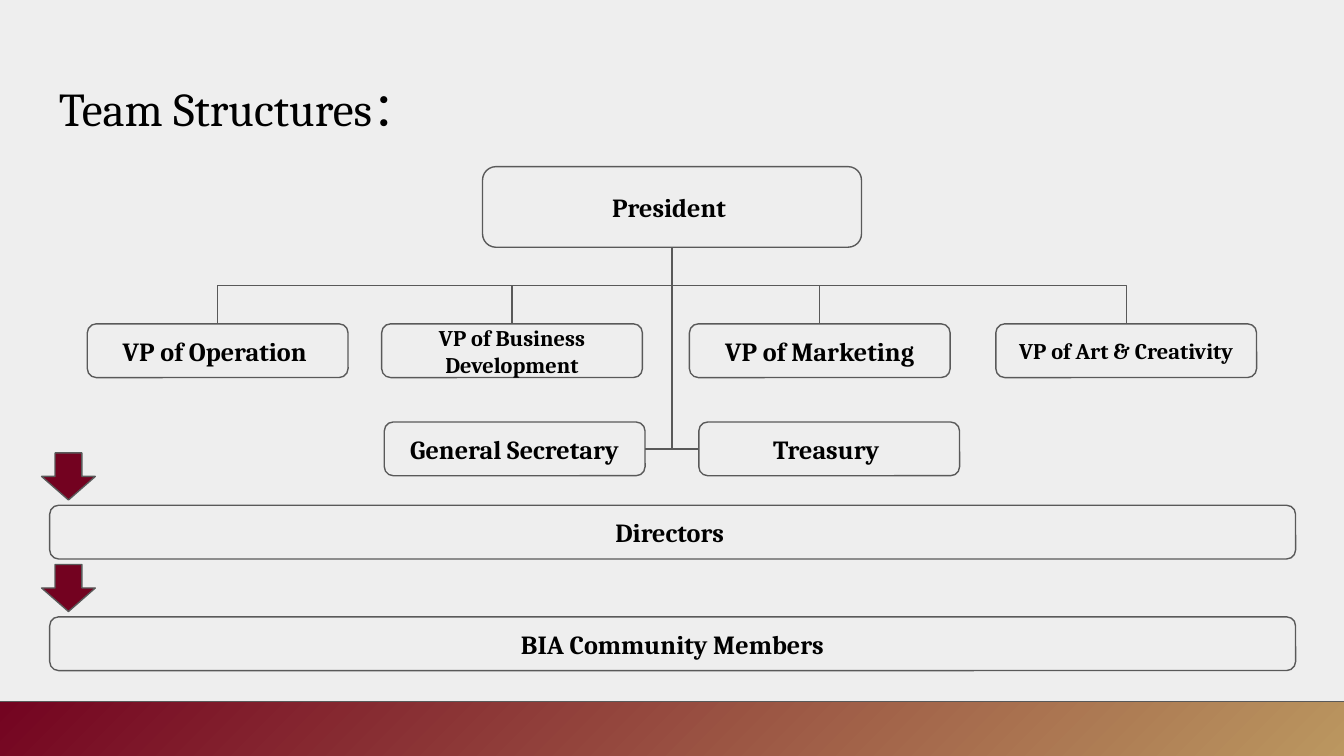
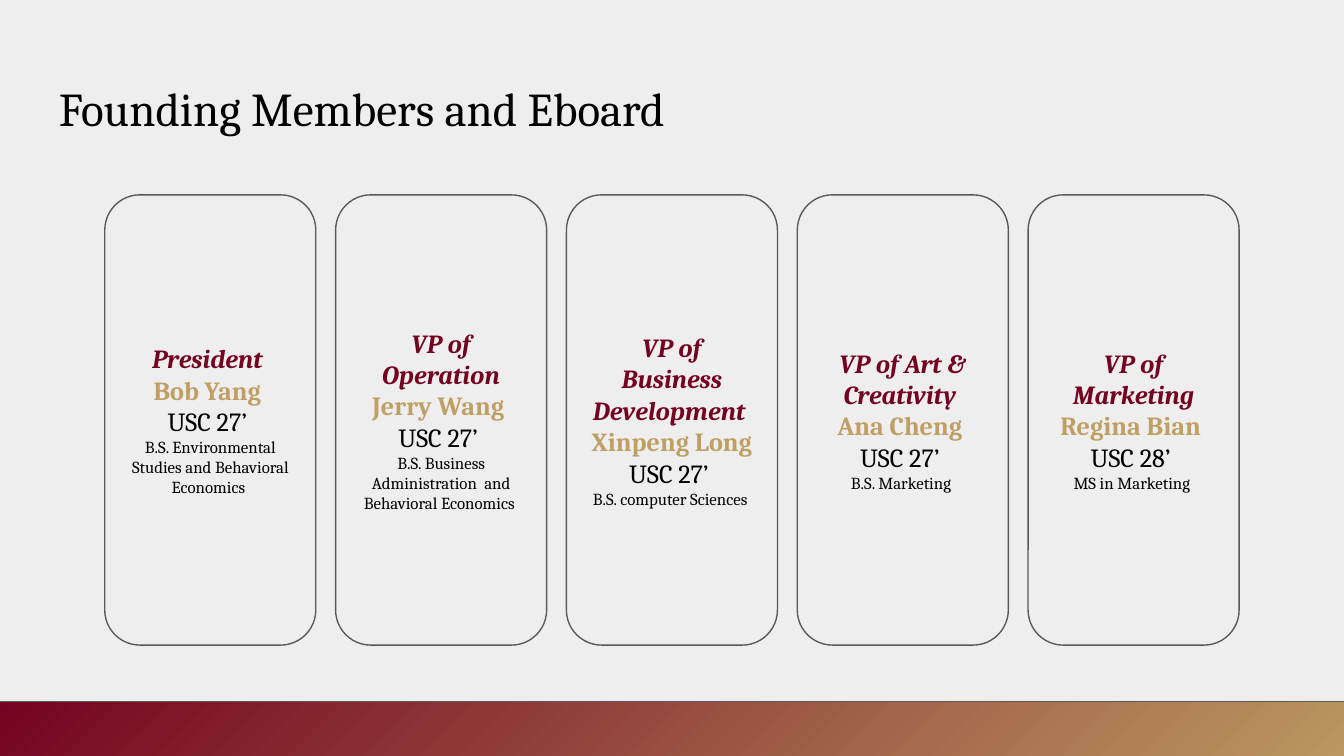
from dataclasses import dataclass

from lxml import etree
from pptx import Presentation
from pptx import util as u
from pptx.dml.color import RGBColor
from pptx.enum import shapes, text
from pptx.oxml.ns import qn

COLORS = {
    "paper": "EEEEEE",
    "ink": "000000",
    "outline": "595959",
    "cardinal": "730220",
    "gold": "BF9F63",
}
FONT = "Cambria"
SLIDE_WIDTH = 10
SLIDE_HEIGHT = SLIDE_WIDTH * 9 / 16
BOX_HEIGHT = 0.4
LINE_WIDTH = u.Pt(0.75)
ROUNDED = shapes.MSO_SHAPE.ROUNDED_RECTANGLE
TOP, LEFT, BOTTOM, RIGHT = range(4)  # connection sites of a rectangle


@dataclass(frozen=True)
class Line:
    """One paragraph and its look."""
    words: str
    size: float = 14
    color: str = "ink"
    bold: bool = False
    italic: bool = False


@dataclass(frozen=True)
class Role:
    """One box of the organisation chart."""
    name: str
    left: float
    top: float
    width: float = 1.94
    height: float = BOX_HEIGHT
    size: float = 14


@dataclass(frozen=True)
class Member:
    """One card of the executive board."""
    role: str
    name: str
    year: str
    degree: str

    def lines(self) -> list[Line]:
        return [
            Line(self.role, color="cardinal", bold=True, italic=True),
            Line(self.name, color="gold", bold=True),
            Line(self.year),
            Line(self.degree, size=9),
        ]


# Organisation chart
PRESIDENT = Role("President ", 3.59, 1.24, 2.82, 0.6)
VP_TOP, STAFF_TOP = 2.41, 3.14
VICE_PRESIDENTS = [
    Role("VP of Operation ", 0.65, VP_TOP),
    Role("VP of Business Development", 2.84, VP_TOP, size=12),
    Role("VP of Marketing", 5.13, VP_TOP),
    Role("VP of Art & Creativity", 7.41, VP_TOP, size=12),
]
SECRETARY = Role("General Secretary", 2.86, STAFF_TOP)
TREASURY = Role("Treasury ", 5.2, STAFF_TOP)
LEVELS = [
    Role("Directors ", 0.37, 3.76, 9.27),
    Role("BIA Community Members", 0.37, 4.59, 9.27),
]
ARROW_RISE = 0.39  # from the top of an arrow to the level below it

# Executive board
MEMBERS = [
    Member("President ", "Bob Yang ", "USC 27’ ",
           "B.S. Environmental Studies and Behavioral Economics "),
    Member("VP of Operation", "Jerry Wang ", "USC 27’ ",
           "B.S. Business Administration  and Behavioral Economics "),
    Member("VP of Business Development ", "Xinpeng Long ", "USC 27’ ",
           "B.S. computer Sciences "),
    Member("VP of Art & Creativity ", "Ana Cheng ", "USC 27’ ", "B.S. Marketing "),
    Member("VP of Marketing", "Regina Bian ", "USC 28’ ", "MS in Marketing "),
]
FIRST_CARD, LAST_CARD = 0.78, 7.65
CARD_PITCH = (LAST_CARD - FIRST_CARD) / (len(MEMBERS) - 1)


def rgb(name: str) -> RGBColor:
    return RGBColor.from_string(COLORS[name])


def apply_format(target, values: dict) -> None:
    for attribute, value in values.items():
        setattr(target, attribute, value)


def draw_outline(line) -> None:
    line.color.rgb = rgb("outline")
    line.width = LINE_WIDTH


def write(shape, lines: list[Line], align, anchor) -> None:
    frame = shape.text_frame
    inset = u.Inches(0.1)
    apply_format(frame, {
        "word_wrap": True, "vertical_anchor": anchor,
        "margin_left": inset, "margin_right": inset,
        "margin_top": inset, "margin_bottom": inset,
    })
    for index, line in enumerate(lines):
        paragraph = frame.add_paragraph() if index else frame.paragraphs[0]
        paragraph.alignment = align
        run = paragraph.add_run()
        run.text = line.words
        apply_format(run.font, {"name": FONT, "size": u.Pt(line.size),
                                "bold": line.bold, "italic": line.italic})
        run.font.color.rgb = rgb(line.color)


def add_block(slide, preset, left: float, top: float, width: float,
              height: float, fill: str = "paper"):
    block = slide.shapes.add_shape(preset, u.Inches(left), u.Inches(top),
                                   u.Inches(width), u.Inches(height))
    block.shadow.inherit = False
    block.fill.solid()
    block.fill.fore_color.rgb = rgb(fill)
    draw_outline(block.line)
    return block


def add_box(slide, left: float, top: float, width: float, height: float,
            lines: list[Line]):
    box = add_block(slide, ROUNDED, left, top, width, height)
    write(box, lines, text.PP_ALIGN.CENTER, text.MSO_ANCHOR.MIDDLE)
    return box


def add_role(slide, role: Role):
    return add_box(slide, role.left, role.top, role.width, role.height,
                   [Line(role.name, role.size, bold=True)])


def add_branch(slide, parent, child, site: int) -> None:
    """Elbow that leaves the bottom of parent downwards and ends at a site of child."""
    branch = slide.shapes.add_connector(shapes.MSO_CONNECTOR.ELBOW, 0, 0, 0, 0)
    branch.begin_connect(parent, BOTTOM)
    branch.end_connect(child, site)
    draw_outline(branch.line)

    # A downward start is a sideways elbow turned about its centre
    start_x, start_y = branch.begin_x, branch.begin_y
    end_x, end_y = branch.end_x, branch.end_y
    across, down = abs(end_x - start_x), end_y - start_y
    apply_format(branch, {
        "left": (start_x + end_x - down) // 2,
        "top": (start_y + end_y - across) // 2,
        "width": down, "height": across,
    })
    to_right = end_x > start_x
    properties = branch._element.spPr
    frame = properties.find(qn("a:xfrm"))
    frame.set("rot", str((270 if to_right else 90) * 60000))
    frame.set("flipH", "1" if to_right else "0")
    frame.set("flipV", "0")
    if site != TOP:
        properties.find(qn("a:prstGeom")).set("prst", "bentConnector2")
    etree.SubElement(properties, qn("a:effectLst"))


def add_slide(deck, title: str):
    slide = deck.slides.add_slide(deck.slide_layouts[6])
    slide.background.fill.solid()
    slide.background.fill.fore_color.rgb = rgb("paper")

    # Footer band
    band = add_block(slide, shapes.MSO_SHAPE.RECTANGLE, -0.13, 5.22, 10.25, 0.86)
    band.fill.gradient()
    band.fill.gradient_angle = 315
    for stop, (position, color) in zip(band.fill.gradient_stops,
                                       [(0, "cardinal"), (1, "gold")]):
        stop.position = position
        stop.color.rgb = rgb(color)

    # Title
    heading = slide.shapes.add_textbox(u.Inches(0.34), u.Inches(0.49),
                                       u.Inches(9.32), u.Inches(0.63))
    write(heading, [Line(title, 25.2)], text.PP_ALIGN.LEFT, text.MSO_ANCHOR.TOP)
    return slide


def build_structure(deck) -> None:
    slide = add_slide(deck, "Team Structures：")
    president = add_role(slide, PRESIDENT)
    vice_presidents = [add_role(slide, role) for role in VICE_PRESIDENTS]
    secretary = add_role(slide, SECRETARY)
    treasury = add_role(slide, TREASURY)
    for level in LEVELS:
        add_role(slide, level)

    # Reporting lines
    for vice_president in vice_presidents:
        add_branch(slide, president, vice_president, TOP)
    add_branch(slide, president, secretary, RIGHT)
    add_branch(slide, president, treasury, LEFT)

    # Arrows down to each level
    for level in LEVELS:
        add_block(slide, shapes.MSO_SHAPE.DOWN_ARROW, 0.31,
                  level.top - ARROW_RISE, 0.4, 0.35, "cardinal")


def build_board(deck) -> None:
    slide = add_slide(deck, "Founding Members and Eboard")
    for index, member in enumerate(MEMBERS):
        add_box(slide, FIRST_CARD + index * CARD_PITCH, 1.45, 1.57, 3.35,
                member.lines())


def main() -> None:
    deck = Presentation()
    deck.slide_width = u.Inches(SLIDE_WIDTH)
    deck.slide_height = u.Inches(SLIDE_HEIGHT)
    build_structure(deck)
    build_board(deck)
    deck.save("out.pptx")


if __name__ == "__main__":
    main()
